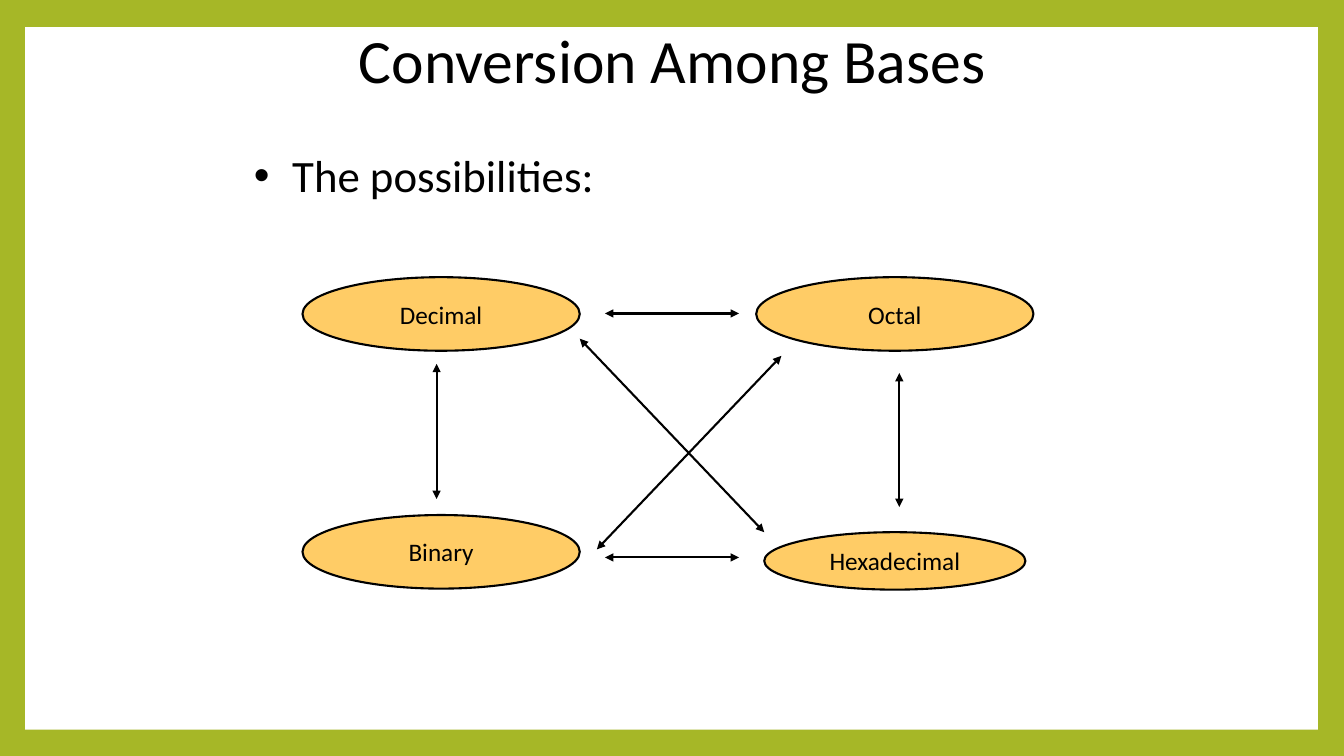
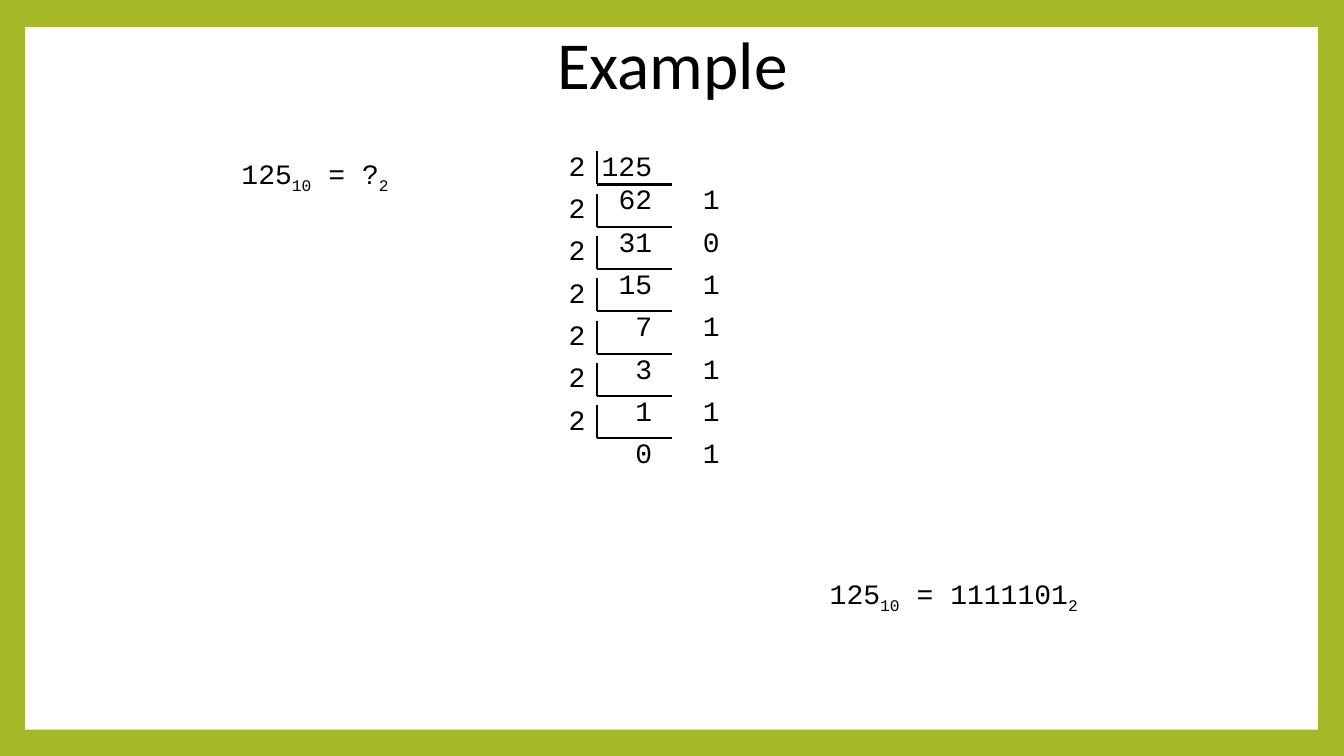
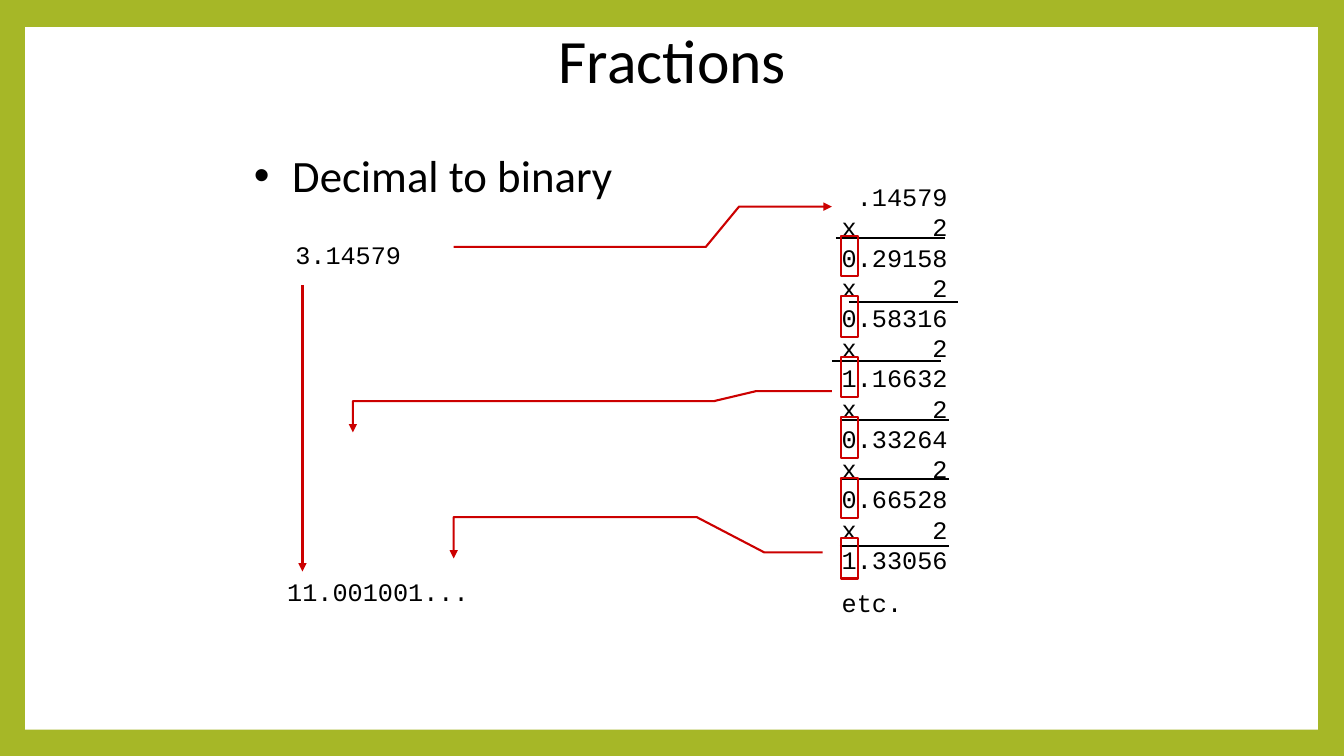
import dataclasses

import lxml.etree
import pptx
import pptx.dml.color
import pptx.enum.shapes
import pptx.enum.text
import pptx.oxml.ns
import pptx.util

Inches = pptx.util.Inches
Pt = pptx.util.Pt
qn = pptx.oxml.ns.qn
RGB = pptx.dml.color.RGBColor.from_string
MSO_SHAPE = pptx.enum.shapes.MSO_SHAPE
STRAIGHT = pptx.enum.shapes.MSO_CONNECTOR.STRAIGHT
ALIGN = pptx.enum.text.PP_ALIGN
ANCHOR = pptx.enum.text.MSO_ANCHOR
AUTO_SIZE = pptx.enum.text.MSO_AUTO_SIZE


@dataclasses.dataclass(frozen=True)
class Theme:
    frame = RGB("A6B727")
    panel = RGB("FFFFFF")
    ink = RGB("000000")
    node = RGB("FFCC66")
    accent = RGB("CC0000")
    sans = "Calibri"
    mono = "Courier New"
    title = 44
    big_title = 48
    body = 32
    sums = 20
    small = 18
    stroke = 1.5


theme = Theme()


def add_text(tf, lines, font, size, align=ALIGN.LEFT, tabs=(), bullet=None):
    for i, line in enumerate(lines):
        p = tf.paragraphs[0] if i == 0 else tf.add_paragraph()
        p.alignment = align
        pPr = p._p.get_or_add_pPr()
        if bullet:
            pPr.set("marL", str(Inches(0.38)))
            pPr.set("indent", str(-Inches(0.38)))
            lxml.etree.SubElement(pPr, qn("a:buFont"), typeface="Arial")
            lxml.etree.SubElement(pPr, qn("a:buChar"), char=bullet)
        if tabs:
            stops = lxml.etree.SubElement(pPr, qn("a:tabLst"))
            for pos in tabs:
                lxml.etree.SubElement(stops, qn("a:tab"), pos=str(Inches(pos)), algn="r")
        for j, part in enumerate(line.split("_")):
            if not part:
                continue
            r = p.add_run()
            r.text = part
            r.font.name = font
            r.font.size = Pt(size)
            r.font.color.rgb = theme.ink
            if j % 2:
                r.font._element.set("baseline", "-25000")


def outline(sp, color, head=False, tail=False):
    sp.line.color.rgb = color
    sp.line.width = Pt(theme.stroke)
    spPr = sp.element.spPr
    ln = spPr.find(qn("a:ln"))
    for tag, shown in (("a:headEnd", head), ("a:tailEnd", tail)):
        if shown:
            lxml.etree.SubElement(ln, qn(tag), type="triangle")
    lxml.etree.SubElement(spPr, qn("a:effectLst"))


prs = pptx.Presentation()
prs.slide_width = Inches(13.33)
prs.slide_height = Inches(7.5)
layout = prs.slide_layouts[5]
background = prs.slide_master.background.fill
background.solid()
background.fore_color.rgb = theme.frame

slides = []
for title, size in (
    ("Conversion Among Bases", theme.title),
    ("Example", theme.big_title),
    ("Fractions", theme.title),
):
    s = prs.slides.add_slide(layout)
    sp = s.shapes.title
    sp.left, sp.top, sp.width, sp.height = map(Inches, (2.42, 0.17, 8.5, 0.83))
    tf = sp.text_frame
    tf.auto_size = AUTO_SIZE.NONE
    tf.vertical_anchor = ANCHOR.TOP
    add_text(tf, [title], theme.sans, size, ALIGN.CENTER)
    slides.append(s)
bases, example, fractions = slides

panel = bases.shapes.add_shape(
    MSO_SHAPE.RECTANGLE, Inches(0.25), Inches(0.27), Inches(12.82), Inches(6.97)
)
panel.fill.solid()
panel.fill.fore_color.rgb = theme.panel
panel.line.fill.background()
panel.shadow.inherit = False
layout.shapes.element.insert(2, panel.element)

for s, line in ((bases, "The possibilities:"), (fractions, "Decimal to binary")):
    sp = s.shapes.add_textbox(Inches(2.42), Inches(1.42), Inches(8.5), Inches(4.5))
    sp.text_frame.word_wrap = True
    add_text(sp.text_frame, [line], theme.sans, theme.body, bullet="•")

for name, x, y, w, h in (
    ("Decimal", 3, 2.75, 2.75, 0.73),
    ("Octal", 7.5, 2.75, 2.75, 0.73),
    ("Binary", 3, 5.11, 2.75, 0.73),
    ("Hexadecimal", 7.58, 5.28, 2.59, 0.57),
):
    sp = bases.shapes.add_shape(MSO_SHAPE.OVAL, Inches(x), Inches(y), Inches(w), Inches(h))
    sp.fill.solid()
    sp.fill.fore_color.rgb = theme.node
    outline(sp, theme.ink)
    tf = sp.text_frame
    tf.word_wrap = False
    tf.vertical_anchor = ANCHOR.MIDDLE
    add_text(tf, [name], theme.sans, theme.small, ALIGN.CENTER)

for ends in (
    (6, 3.11, 7.33, 3.11),
    (6, 5.53, 7.33, 5.53),
    (4.33, 4.95, 4.33, 3.61),
    (8.92, 5.03, 8.92, 3.7),
    (7.58, 5.28, 5.75, 3.36),
    (5.92, 5.45, 7.75, 3.53),
):
    arrow = bases.shapes.add_connector(STRAIGHT, *map(Inches, ends))
    outline(arrow, theme.ink, head=True, tail=True)

for x, y, w, equation in (
    (2, 1.5, 2.25, "125_10_ = ?_2_"),
    (7.67, 5.67, 3.58, "125_10_ = 1111101_2_"),
):
    sp = example.shapes.add_textbox(Inches(x), Inches(y), Inches(w), Inches(0.44))
    sp.text_frame.word_wrap = True
    add_text(sp.text_frame, [equation], theme.mono, theme.sums, ALIGN.CENTER)

number = 125
for step in range(number.bit_length()):
    y = 1.42 + 0.42 * step
    quotient, remainder = divmod(number, 2)
    dividend = f"2\t{number}" if step == 0 else "2"
    sp = example.shapes.add_textbox(Inches(5.54), Inches(y), Inches(2.25), Inches(0.77))
    sp.text_frame.word_wrap = True
    add_text(
        sp.text_frame, [dividend, f"\t{quotient}\t{remainder}"],
        theme.mono, theme.sums, tabs=(0.83, 1.5),
    )
    for ends in ((5.92, y + 0.08, 5.92, y + 0.41), (5.92, y + 0.41, 6.67, y + 0.41)):
        rule = example.shapes.add_connector(STRAIGHT, *map(Inches, ends))
        outline(rule, theme.ink)
    number = quotient

products = ["0.29158", "0.58316", "1.16632", "0.33264", "0.66528", "1.33056"]
working = ["\t.14579"]
for product in products:
    working += ["x\t2", product]
for x, y, w, h, lines in (
    (8.25, 1.75, 1.62, 4.46, working + ["etc."]),
    (2.83, 2.33, 1.62, 0.4, ["3.14579"]),
    (2.75, 5.67, 2.92, 0.4, ["11.001001..."]),
):
    sp = fractions.shapes.add_textbox(Inches(x), Inches(y), Inches(w), Inches(h))
    tf = sp.text_frame
    tf.word_wrap = True
    add_text(tf, lines, theme.mono, theme.small, tabs=(1.05,))
    if lines[-1] == "etc.":
        tf.paragraphs[-1].space_before = Pt(9)

for x, y in ((8.29, 2.36), (8.42, 3), (8.25, 3.58), (8.33, 4.17), (8.33, 4.75), (8.33, 5.42)):
    rule = fractions.shapes.add_connector(
        STRAIGHT, Inches(x), Inches(y), Inches(x + 1.08), Inches(y)
    )
    outline(rule, theme.ink)

arrow = fractions.shapes.add_connector(STRAIGHT, Inches(3), Inches(2.83), Inches(3), Inches(5.67))
outline(arrow, theme.accent, tail=True)

for points in (
    ((4.5, 2.45), (7, 2.45), (7.33, 2.05), (8.25, 2.05)),
    ((8.25, 3.88), (7.5, 3.88), (7.08, 3.98), (3.5, 3.98), (3.5, 4.29)),
    ((8.16, 5.48), (7.58, 5.48), (6.91, 5.13), (4.5, 5.13), (4.5, 5.54)),
):
    start, *rest = [(Inches(x), Inches(y)) for x, y in points]
    builder = fractions.shapes.build_freeform(*start)
    builder.add_line_segments(rest, close=False)
    sp = builder.convert_to_shape()
    sp.fill.background()
    outline(sp, theme.accent, tail=True)

for i in range(len(products)):
    sp = fractions.shapes.add_shape(
        MSO_SHAPE.RECTANGLE, Inches(8.34), Inches(2.34 + 0.6 * i), Inches(0.17), Inches(0.4)
    )
    sp.fill.background()
    outline(sp, theme.accent)

prs.save("out.pptx")
